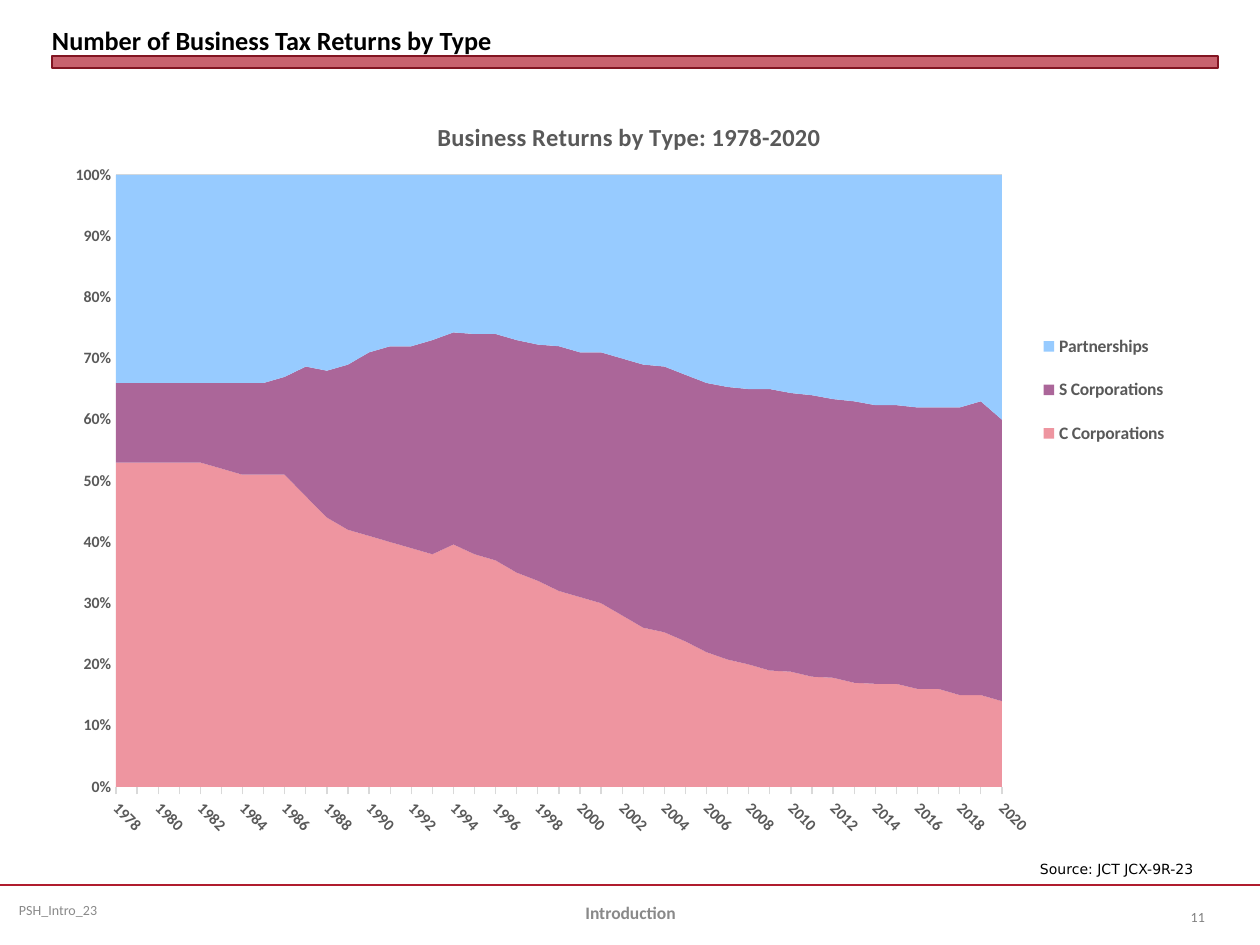
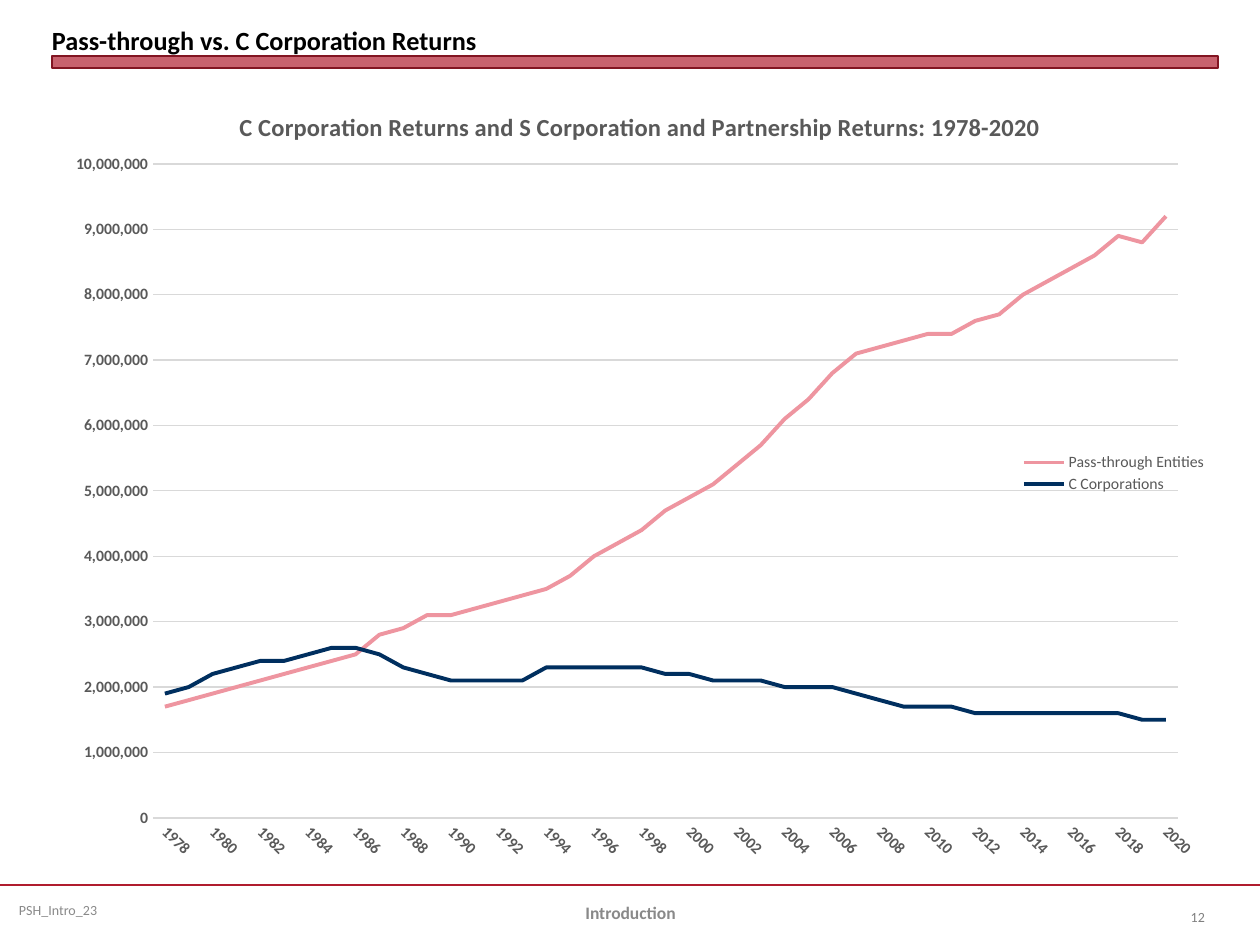
"""Build two slides on business tax returns, each with one chart."""
from dataclasses import dataclass

from lxml import etree
from pptx import Presentation
from pptx import util as u
from pptx.chart import data as chart_data
from pptx.dml.color import RGBColor
from pptx.enum import chart as charts, shapes, text
from pptx.oxml import ns


@dataclass(frozen=True)
class Theme:
    font: str = "Calibri"
    source_font: str = "DejaVu Sans"
    black: str = "000000"
    red: str = "B01C2E"
    dark_red: str = "821522"
    footer_grey: str = "898989"
    number_grey: str = "808080"
    chart_grey: str = "595959"
    grid_grey: str = "D9D9D9"
    pink: str = "EE95A0"
    purple: str = "AB6699"
    sky: str = "97CBFF"
    navy: str = "002F5F"
    title_size: int = 15
    chart_title_size: int = 14
    section_size: int = 10
    axis_size: int = 9
    small_size: int = 8


theme = Theme()
EMU_PER_PX = 914400 / 126


def px(*lengths):
    return [u.Emu(round(length * EMU_PER_PX)) for length in lengths]


def style(font, size, colour, bold=False, name=theme.font):
    values = {"size": u.Pt(size), "bold": bold, "name": name}
    for key, value in values.items():
        setattr(font, key, value)
    font.color.rgb = RGBColor.from_string(colour)


years = [str(year) for year in range(1978, 2021)]
c_share = [53, 53, 53, 53, 53, 52, 51, 51, 51, 47, 44, 42, 41, 40, 39, 38, 40, 38, 37, 35, 34, 32,
           31, 30, 28, 26, 25, 24, 22, 21, 20, 19, 19, 18, 18, 17, 17, 17, 16, 16, 15, 15, 14]
s_share = [13, 13, 13, 13, 13, 14, 15, 15, 16, 21, 24, 27, 30, 32, 33, 35, 35, 36, 37, 38, 39, 40,
           40, 41, 42, 43, 43, 44, 44, 45, 45, 46, 46, 46, 46, 46, 46, 46, 46, 46, 47, 48, 46]
partner_share = [34, 34, 34, 34, 34, 34, 34, 34, 33, 31, 32, 31, 29, 28, 28, 27, 26, 26, 26, 27,
                 28, 28, 29, 29, 30, 31, 31, 33, 34, 35, 35, 35, 36, 36, 37, 37, 38, 38, 38, 38,
                 38, 37, 40]
pass_through_millions = [1.7, 1.8, 1.9, 2.0, 2.1, 2.2, 2.3, 2.4, 2.5, 2.8, 2.9, 3.1, 3.1, 3.2, 3.3,
                         3.4, 3.5, 3.7, 4.0, 4.2, 4.4, 4.7, 4.9, 5.1, 5.4, 5.7, 6.1, 6.4, 6.8, 7.1,
                         7.2, 7.3, 7.4, 7.4, 7.6, 7.7, 8.0, 8.2, 8.4, 8.6, 8.9, 8.8, 9.2]
c_millions = [1.9, 2.0, 2.2, 2.3, 2.4, 2.4, 2.5, 2.6, 2.6, 2.5, 2.3, 2.2, 2.1, 2.1, 2.1, 2.1, 2.3,
              2.3, 2.3, 2.3, 2.3, 2.2, 2.2, 2.1, 2.1, 2.1, 2.0, 2.0, 2.0, 1.9, 1.8, 1.7, 1.7, 1.7,
              1.6, 1.6, 1.6, 1.6, 1.6, 1.6, 1.6, 1.5, 1.5]

pages = [
    {
        "title": "Number of Business Tax Returns by Type",
        "number": "11",
        "source": "Source: JCT JCX-9R-23",
        "chart_title": "Business Returns by Type: 1978-2020",
        "type": charts.XL_CHART_TYPE.AREA_STACKED_100,
        "frame": (53, 84, 1144, 766),
        "heading": (433, 116),
        "plot": (116, 175, 886, 612),
        "legend": (1034, 313, 140, 154),
        "overlay": False,
        "legend_size": 10,
        "legend_bold": True,
        "tick": charts.XL_TICK_MARK.OUTSIDE,
        "scale": (1, 0.1, "0%"),
        "series": [("C Corporations", c_share, theme.pink),
                   ("S Corporations", s_share, theme.purple),
                   ("Partnerships", partner_share, theme.sky)],
    },
    {
        "title": "Pass-through vs. C Corporation Returns",
        "number": "12",
        "source": None,
        "chart_title": "C Corporation Returns and S Corporation and Partnership Returns: 1978-2020",
        "type": charts.XL_CHART_TYPE.LINE,
        "frame": (53, 73, 1166, 801),
        "heading": (235, 105),
        "plot": (153, 164, 1025, 654),
        "legend": (1017, 450, 194, 47),
        "overlay": True,
        "legend_size": 9,
        "legend_bold": False,
        "tick": charts.XL_TICK_MARK.NONE,
        "scale": (10_000_000, 1_000_000, "#,##0"),
        "series": [("Pass-through Entities", [round(m * 1e6) for m in pass_through_millions], theme.pink),
                   ("C Corporations", [round(m * 1e6) for m in c_millions], theme.navy)],
    },
]

deck = Presentation()
deck.slide_width, deck.slide_height = px(1260, 945)
align, anchor = text.PP_ALIGN, text.MSO_ANCHOR

for content in pages:
    page = deck.slides.add_slide(deck.slide_layouts[5])

    rule = page.shapes.add_connector(shapes.MSO_CONNECTOR.STRAIGHT, *px(0, 885, 1260, 885))
    rule.line.color.rgb = RGBColor.from_string(theme.red)
    rule.line.width = u.Pt(1.25)
    etree.SubElement(rule._element.spPr, ns.qn("a:effectLst"))

    band = page.shapes.add_shape(shapes.MSO_SHAPE.RECTANGLE, *px(52, 56, 1166, 12))
    band.shadow.inherit = False
    band.fill.solid()
    band.fill.fore_color.rgb = RGBColor.from_string(theme.red)
    tint = band._element.spPr.find(ns.qn("a:solidFill"))[0]
    etree.SubElement(tint, ns.qn("a:alpha"), val="69000")
    band.line.color.rgb = RGBColor.from_string(theme.dark_red)
    band.line.width = 0

    title = page.shapes.title
    title.left, title.top, title.width, title.height = px(52, 6, 1166, 50)
    title.text_frame.text = content["title"]
    title_format = {"margin_left": 0, "margin_top": 0, "margin_right": 0, "margin_bottom": 0,
                    "vertical_anchor": anchor.BOTTOM, "auto_size": text.MSO_AUTO_SIZE.NONE}
    for key, value in title_format.items():
        setattr(title.text_frame, key, value)
    para = title.text_frame.paragraphs[0]
    para.alignment = align.LEFT
    style(para.runs[0].font, theme.title_size, theme.black, True)

    small = theme.small_size
    labels = [
        ("PSH_Intro_23", (10, 885, 325, 50), 9, align.LEFT, anchor.MIDDLE, True,
         (small, theme.footer_grey)),
        (content["number"], (1155, 892, 63, 50), 13, align.RIGHT, anchor.MIDDLE, True,
         (small, theme.number_grey)),
        ("Introduction", (431, 888, 399, 50), 13, align.CENTER, anchor.MIDDLE, True,
         (theme.section_size, theme.footer_grey, True)),
    ]
    if content["source"]:
        labels.append((content["source"], (1027, 854, 191, 30), 13, align.LEFT, anchor.TOP, False,
                       (small, theme.black, False, theme.source_font)))
    for words, place, inset, side, height_anchor, wrap, look in labels:
        box = page.shapes.add_textbox(*px(*place))
        margin, = px(inset)
        box_format = {"word_wrap": wrap, "vertical_anchor": height_anchor,
                      "margin_left": margin, "margin_right": margin}
        for key, value in box_format.items():
            setattr(box.text_frame, key, value)
        para = box.text_frame.paragraphs[0]
        para.alignment = side
        span = para.add_run()
        span.text = words
        style(span.font, *look)

    returns = chart_data.CategoryChartData(number_format="#,##0")
    returns.categories = years
    for name, values, colour in content["series"]:
        returns.add_series(name, values)
    chart = page.shapes.add_chart(content["type"], *px(*content["frame"]), returns).chart
    style(chart.font, 10, theme.black)

    chart.has_title = True
    para = chart.chart_title.text_frame.paragraphs[0]
    span = para.add_run()
    span.text = content["chart_title"]
    style(span.font, theme.chart_title_size, theme.chart_grey, True)

    chart.has_legend = True
    legend = chart.legend
    legend.position = charts.XL_LEGEND_POSITION.RIGHT
    legend.include_in_layout = content["overlay"]
    style(legend.font, content["legend_size"], theme.chart_grey, content["legend_bold"])

    for series, (name, values, colour) in zip(chart.plots[0].series, content["series"]):
        if content["type"] == charts.XL_CHART_TYPE.LINE:
            series.smooth = False
            series.marker.style = charts.XL_MARKER_STYLE.NONE
            series.format.line.color.rgb = RGBColor.from_string(colour)
            series.format.line.width = u.Pt(2.25)
        else:
            series.format.fill.solid()
            series.format.fill.fore_color.rgb = RGBColor.from_string(colour)
    chart.plots[0].vary_by_categories = False

    year_axis, value_axis = chart.category_axis, chart.value_axis
    for axis in (year_axis, value_axis):
        axis.minor_tick_mark = charts.XL_TICK_MARK.NONE
        style(axis.tick_labels.font, theme.axis_size, theme.chart_grey, True)
    year_axis.major_tick_mark = content["tick"]
    year_axis.has_major_gridlines = False
    value_axis.major_tick_mark = charts.XL_TICK_MARK.NONE
    value_axis.has_major_gridlines = True
    value_axis.format.line.fill.background()
    for line in (year_axis.format.line, value_axis.major_gridlines.format.line):
        line.color.rgb = RGBColor.from_string(theme.grid_grey)
        line.width = u.Pt(0.75)
    value_axis.minimum_scale = 0
    value_axis.maximum_scale, value_axis.major_unit, number_format = content["scale"]
    value_axis.tick_labels.number_format = number_format
    value_axis.tick_labels.number_format_is_linked = False

    year_xml = year_axis._element
    year_xml.find(ns.qn("c:txPr")).find(ns.qn("a:bodyPr")).set("rot", "2700000")
    skip = etree.Element(ns.qn("c:tickLblSkip"), val="2")
    year_xml.find(ns.qn("c:noMultiLvlLbl")).addprevious(skip)

    left, top, width, height = content["frame"]
    chart_xml = chart._chartSpace.chart
    for tag, key in (("title", "heading"), ("plotArea", "plot"), ("legend", "legend")):
        owner = chart_xml.find(ns.qn(f"c:{tag}"))
        layout = owner.find(ns.qn("c:layout"))
        if layout is None:
            layout = etree.Element(ns.qn("c:layout"))
            if tag == "plotArea":
                owner.insert(0, layout)
            else:
                owner.find(ns.qn("c:overlay")).addprevious(layout)
        for child in list(layout):
            layout.remove(child)
        manual = etree.SubElement(layout, ns.qn("c:manualLayout"))
        if tag == "plotArea":
            etree.SubElement(manual, ns.qn("c:layoutTarget"), val="inner")
        for edge in ("xMode", "yMode"):
            etree.SubElement(manual, ns.qn(f"c:{edge}"), val="edge")
        offsets = zip("xywh", content[key], (left, top, 0, 0), (width, height, width, height))
        for side, length, start, whole in offsets:
            etree.SubElement(manual, ns.qn(f"c:{side}"), val=str((length - start) / whole))

deck.save("out.pptx")
